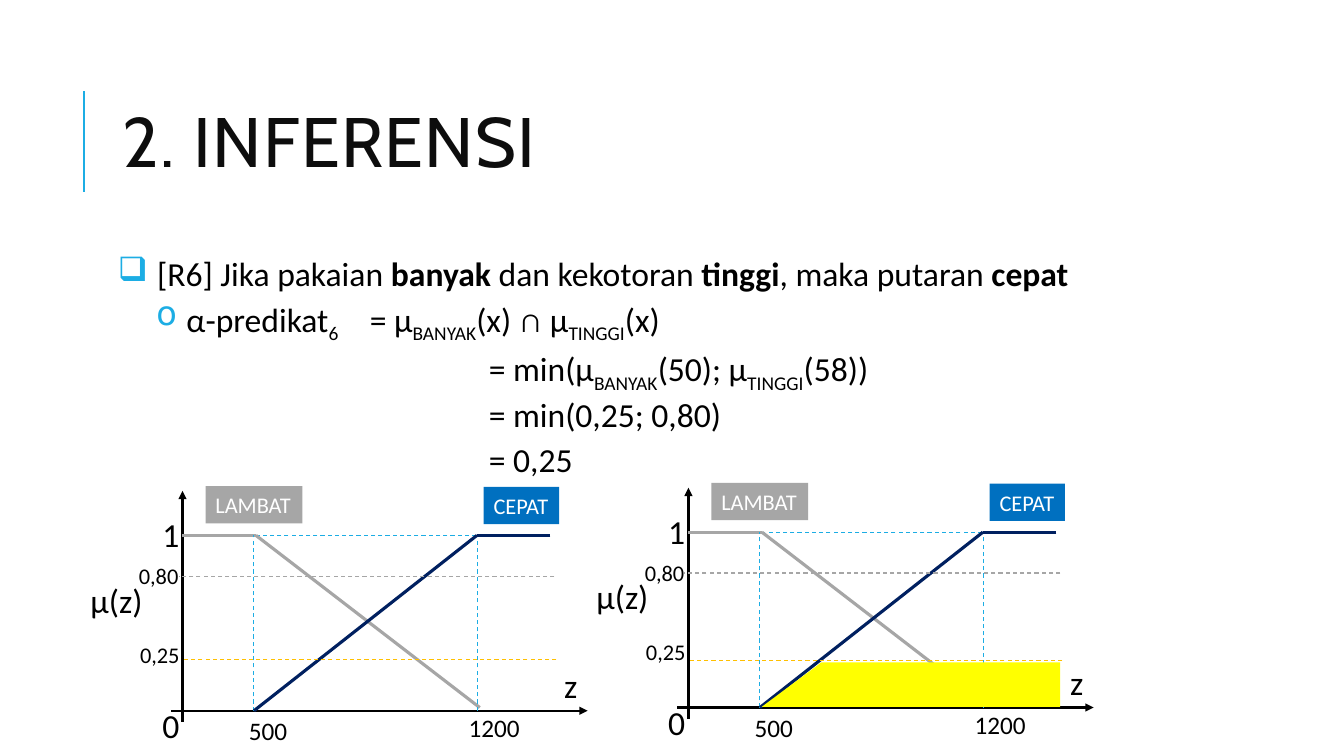
from lxml import etree
from pptx import Presentation
from pptx.dml.color import RGBColor
from pptx.enum.dml import MSO_LINE
from pptx.enum.shapes import MSO_CONNECTOR, MSO_SHAPE
from pptx.enum.text import MSO_ANCHOR, PP_ALIGN
from pptx.oxml.ns import qn
from pptx.util import Cm, Pt

DASH = MSO_LINE.DASH
STRAIGHT = MSO_CONNECTOR.STRAIGHT
RECT = MSO_SHAPE.RECTANGLE
MANUAL_INPUT = MSO_SHAPE.FLOWCHART_MANUAL_INPUT
MIDDLE = MSO_ANCHOR.MIDDLE
TOP = MSO_ANCHOR.TOP
JUSTIFY = PP_ALIGN.JUSTIFY

COLORS = {
    "accent": "1CADE4", "title": "0D0D0D", "black": "000000",
    "white": "FFFFFF", "gray": "A6A6A6", "navy": "002060",
    "blue": "0070C0", "orange": "FFC000", "yellow": "FFFF00",
}


def rgb(name):
    return RGBColor.from_string(COLORS[name])


def add_run(p, text, size=24, font="Calibri", color="black", bold=False,
            sub=False, spacing=0):
    r = p.add_run()
    r.text = text
    r.font.size = Pt(size)
    r.font.name = font
    r.font.bold = bold
    r.font.color.rgb = rgb(color)
    rPr = r.font._element
    if sub:
        rPr.set("baseline", "-25000")
    if spacing:
        rPr.set("spc", str(spacing * 100))
    return r


class Deck:
    def __init__(self):
        self.prs = Presentation()
        self.prs.slide_width = Cm(33.87)
        self.prs.slide_height = Cm(19.05)
        self.s = self.prs.slides.add_slide(self.prs.slide_layouts[6])
        self.shapes = self.s.shapes
        self.origin = (0, 0)

    def group(self, x, y):
        self.shapes = self.s.shapes.add_group_shape().shapes
        self.origin = (x, y)

    def place(self, x, y):
        return Cm(self.origin[0] + x), Cm(self.origin[1] + y)

    def line(self, x1, y1, x2, y2, color, width, dash=False, arrow=False):
        c = self.shapes.add_connector(
            STRAIGHT, *self.place(x1, y1), *self.place(x2, y2))
        c.line.color.rgb = rgb(color)
        c.line.width = Pt(width)
        if dash:
            c.line.dash_style = DASH
        if arrow:
            ln = c.line._get_or_add_ln()
            etree.SubElement(ln, qn("a:tailEnd"), type="triangle")
        etree.SubElement(c._element.spPr, qn("a:effectLst"))

    def box(self, x, y, w, h, anchor=TOP, wrap=False):
        sp = self.shapes.add_textbox(*self.place(x, y), Cm(w), Cm(h))
        tf = sp.text_frame
        tf.word_wrap = wrap
        tf.vertical_anchor = anchor
        return tf

    def label(self, text, x, y, w, h, size):
        add_run(self.box(x, y, w, h).paragraphs[0], text, size=size)

    def shape(self, kind, x, y, w, h, fill):
        sp = self.shapes.add_shape(kind, *self.place(x, y), Cm(w), Cm(h))
        sp.shadow.inherit = False
        sp.fill.solid()
        sp.fill.fore_color.rgb = rgb(fill)
        sp.line.fill.background()
        return sp

    def tag(self, text, x, y, w, fill):
        tf = self.shape(RECT, x, y, w, 0.94, fill).text_frame
        tf.word_wrap = False
        p = tf.paragraphs[0]
        p.alignment = PP_ALIGN.LEFT
        add_run(p, text, size=16, color="white")

    def paragraph(self, p, spans, margin, indent=0, bullet=None, before=2, after=4):
        p.alignment = JUSTIFY
        p.line_spacing = 0.9
        p.space_before = Pt(before)
        p.space_after = Pt(after)
        pPr = p._p.get_or_add_pPr()
        pPr.set("marL", str(Cm(margin)))
        pPr.set("indent", str(Cm(indent)))
        if bullet:
            clr = etree.SubElement(pPr, qn("a:buClr"))
            etree.SubElement(clr, qn("a:srgbClr"), val=COLORS["accent"])
            etree.SubElement(pPr, qn("a:buChar"), char=bullet)
        for text, fmt in spans:
            add_run(p, text, **fmt)

    def membership_graph(self, x, y, cut_y):
        self.group(x, y)
        top = -4.42
        self.line(9.22, top, 0, top, "accent", 0.75, dash=True)
        self.line(0, 0.28, 0, -5.54, "black", 1.5, arrow=True)
        self.line(-0.28, 0, 10.21, 0, "black", 1.5, arrow=True)
        self.line(7.49, -0.08, 1.85, top, "gray", 2.25)
        self.line(1.85, top, 0, top, "gray", 2.25)
        for drop_x in (1.8, 7.44):
            self.line(drop_x, 0, drop_x, top, "accent", 0.75, dash=True)
        self.line(7.42, top, 1.8, 0, "navy", 2.25)
        self.line(9.27, top, 7.42, top, "navy", 2.25)
        for args in (
            ("500", 1.42, 0, 1.5, 1.02, 18),
            ("1200", 6.96, -0.08, 1.8, 1.02, 18),
            ("μ(z)", -2.57, -3.43, 1.85, 1.27, 24),
            ("z", 9.37, -1.27, 0.86, 1.27, 24),
            ("0", -0.76, -0.28, 0.81, 1.12, 24),
            ("1", -0.76, -5.08, 0.84, 1.14, 24),
            ("0,80", -1.35, -3.87, 1.52, 0.94, 16),
            ("0,25", -1.32, -1.88, 1.52, 0.94, 16),
        ):
            self.label(*args)
        self.tag("LAMBAT", 0.58, -5.66, 2.44, "gray")
        self.tag("CEPAT", 7.59, -5.64, 1.9, "blue")
        self.line(9.37, -3.39, -0.1, -3.39, "gray", 0.75, dash=True)
        self.line(9.42, cut_y, -0.03, cut_y, "orange", 0.75, dash=True)

    def clipped_area(self):
        sp = self.shape(MANUAL_INPUT, 5.05, -4.34, 1.12, 7.52, "yellow")
        sp.rotation = 270
        sp._element.spPr.find(qn("a:xfrm")).set("flipH", "1")


def main():
    d = Deck()
    d.line(2.11, 4.83, 2.11, 2.29, "accent", 1.5)
    p = d.box(2.84, 1.63, 27, 4.17, MIDDLE, True).paragraphs[0]
    p.line_spacing = 0.8
    add_run(p, "2. INFERENSI", size=50, font="Cabin", color="title", spacing=1)

    tf = d.box(2.84, 6.35, 27, 6.07, wrap=True)
    tf.margin_left = tf.margin_right = Cm(0.13)
    tf.margin_top = tf.margin_bottom = Cm(0.13)
    plain, bold, sub = {}, {"bold": True}, {"sub": True}
    rule = [("[R6] Jika pakaian ", plain), ("banyak", bold),
            (" dan kekotoran ", plain), ("tinggi", bold),
            (", maka putaran ", plain), ("cepat", bold)]
    predicate = [("α-predikat", plain), ("6", sub), ("\t= μ", plain),
                 ("BANYAK", sub), ("(x) ∩ μ", plain), ("TINGGI", sub),
                 ("(x)", plain)]
    steps = [
        [("= min(μ", plain), ("BANYAK", sub), ("(50); μ", plain),
         ("TINGGI", sub), ("(58))", plain)],
        [("= min(0,25; 0,80)", plain)],
        [("= 0,25", plain)],
    ]
    d.paragraph(tf.paragraphs[0], rule, 0.99, -0.99, "❑", before=0, after=2)
    d.paragraph(tf.add_paragraph(), predicate, 1.73, -0.76, "o")
    for step in steps:
        d.paragraph(tf.add_paragraph(), step, 9.35)

    d.membership_graph(4.6, 17.91, -1.3)
    d.membership_graph(17.35, 17.83, -1.19)
    d.clipped_area()
    d.prs.save("out.pptx")


if __name__ == "__main__":
    main()
